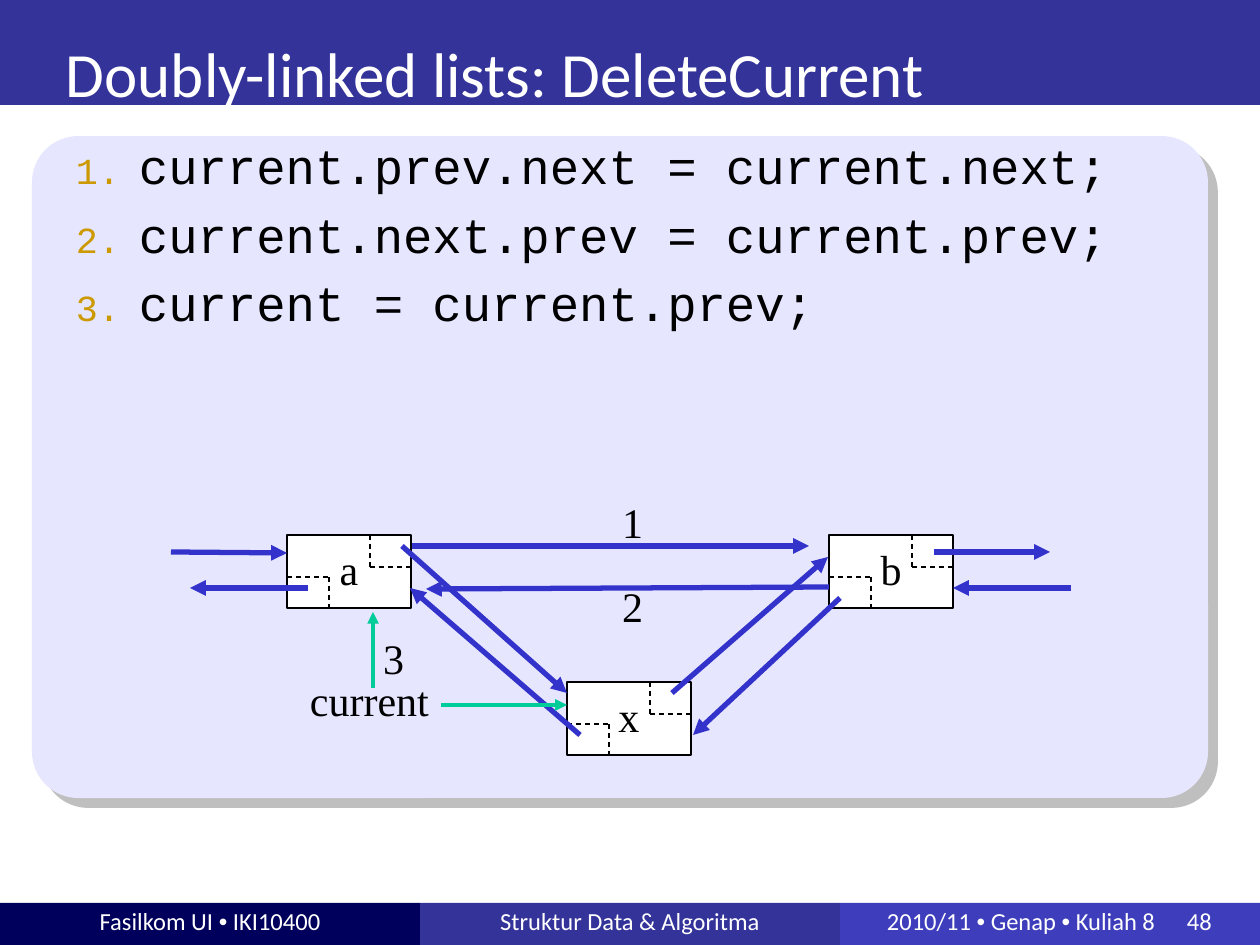
import dataclasses
import lxml.etree
import pptx
import pptx.dml.color
import pptx.enum.dml
import pptx.enum.shapes
import pptx.enum.text
import pptx.oxml.ns
import pptx.util

ALIGN = pptx.enum.text.PP_ALIGN
ANCHOR = pptx.enum.text.MSO_ANCHOR
SHAPE = pptx.enum.shapes.MSO_SHAPE
SCALE = 914400 / 126
WIDE, HIGH = 124, 73


@dataclasses.dataclass(frozen=True)
class Theme:
    navy: str = "00005C"
    blue: str = "333399"
    light: str = "3E3EBC"
    panel: str = "E6E6FF"
    shade: str = "808080"
    gold: str = "CC9900"
    link: str = "3333CC"
    green: str = "00CC99"
    black: str = "000000"
    white: str = "FFFFFF"
    sans: str = "Calibri"
    dot: str = "Arial"
    mono: str = "Courier New"
    serif: str = "Times New Roman"
    head: int = 36
    code: int = 28
    label: int = 24
    foot: int = 14


THEME = Theme()


def px(num):
    return round(num * SCALE)


def color(code):
    return pptx.dml.color.RGBColor.from_string(code)


def child(node, tag, **attrs):
    return lxml.etree.SubElement(node, pptx.oxml.ns.qn(tag), attrs)


def number(para):
    props = para._p.get_or_add_pPr()
    props.set("marL", str(px(63)))
    props.set("indent", str(-px(63)))
    child(child(props, "a:buClr"), "a:srgbClr", val=THEME.gold)
    child(props, "a:buSzPct", val="75000")
    child(props, "a:buAutoNum", type="arabicPeriod")


def write(shape, text, size=THEME.label, font=THEME.serif, ink=THEME.black,
          align=ALIGN.LEFT, anchor=ANCHOR.TOP, pads=(13, 6, 13, 6), wrap=True,
          lead=None, after=0, before=0, listed=False, tab=None):
    frame = shape.text_frame
    frame.auto_size = pptx.enum.text.MSO_AUTO_SIZE.NONE
    frame.word_wrap = wrap
    frame.vertical_anchor = anchor
    (frame.margin_left, frame.margin_top,
     frame.margin_right, frame.margin_bottom) = map(px, pads)
    for i, line in enumerate(text.split("\n")):
        para = frame.add_paragraph() if i else frame.paragraphs[0]
        para.alignment = align
        para.line_spacing = lead
        para.space_before = pptx.util.Pt(before if i else 0)
        para.space_after = pptx.util.Pt(after)
        if listed:
            number(para)
        if tab:
            stops = child(para._p.get_or_add_pPr(), "a:tabLst")
            child(stops, "a:tab", pos=str(px(tab)), algn="l")
        for part in line.replace("•", "\n•\n").split("\n"):
            run = para.add_run()
            run.text = part
            run.font.size = pptx.util.Pt(size)
            run.font.name = THEME.dot if part == "•" else font
            run.font.color.rgb = color(ink)


def block(slide, x, y, w, h, fill, kind=SHAPE.RECTANGLE, edge=None):
    shape = slide.shapes.add_shape(kind, px(x), px(y), px(w), px(h))
    shape.shadow.inherit = False
    shape.fill.solid()
    shape.fill.fore_color.rgb = color(fill)
    if edge:
        shape.line.color.rgb = color(edge)
        shape.line.width = pptx.util.Pt(0.75)
    else:
        shape.line.fill.background()
    return shape


def label(slide, x, y, w, h, text, **form):
    box = slide.shapes.add_textbox(px(x), px(y), px(w), px(h))
    write(box, text, **form)


def stroke(slide, x1, y1, x2, y2, ink=THEME.black, width=0.75, arrow=False):
    line = slide.shapes.add_connector(
        pptx.enum.shapes.MSO_CONNECTOR.STRAIGHT, px(x1), px(y1), px(x2), px(y2))
    line.line.color.rgb = color(ink)
    line.line.width = pptx.util.Pt(width)
    if arrow:
        child(line.line._get_or_add_ln(), "a:tailEnd", type="triangle")
    else:
        line.line.dash_style = pptx.enum.dml.MSO_LINE.DASH
    child(line._element.spPr, "a:effectLst")


def panel(slide):
    shape = block(slide, 32, 136, 1176, 662, THEME.panel, SHAPE.ROUNDED_RECTANGLE)
    shape.adjustments[0] = 0.07
    effects = shape._element.spPr.find(pptx.oxml.ns.qn("a:effectLst"))
    cast = child(effects, "a:outerShdw", dist=str(pptx.util.Pt(8)),
                 dir="2700000", algn="ctr", rotWithShape="0")
    child(child(cast, "a:srgbClr", val=THEME.shade), "a:alpha", val="50000")


def node(slide, x, y, name):
    box = block(slide, x, y, WIDE, HIGH, THEME.white, edge=THEME.black)
    write(box, name, align=ALIGN.CENTER, anchor=ANCHOR.MIDDLE, lead=0.95)
    stroke(slide, x + 83, y, x + 83, y + 32)
    stroke(slide, x + 83, y + 32, x + WIDE, y + 32)
    stroke(slide, x + 42, y + 42, x + 42, y + HIGH)
    stroke(slide, x, y + 42, x + 42, y + 42)


def footer(slide):
    form = dict(size=THEME.foot, font=THEME.sans, ink=THEME.white, anchor=ANCHOR.MIDDLE)
    mid = dict(align=ALIGN.CENTER, pads=(13, 0, 13, 6))
    last = dict(pads=(47, 0, 13, 6), tab=300)
    cells = [("Fasilkom UI • IKI10400", THEME.navy, mid),
             ("Struktur Data & Algoritma", THEME.blue, mid),
             ("2010/11 • Genap • Kuliah 8\t48", THEME.light, last)]
    for i, (text, fill, extra) in enumerate(cells):
        write(block(slide, 420 * i, 903, 420, 42, fill), text, **form, **extra)


def header(slide, text):
    block(slide, 0, 0, 1260, 105, THEME.blue)
    title = slide.shapes.title
    title.left, title.top, title.width, title.height = map(px, (53, -15, 1125, 131))
    write(title, text, size=THEME.head, font=THEME.sans, ink=THEME.white,
          anchor=ANCHOR.BOTTOM, lead=1.56)
    slide.shapes._spTree.append(title._element)


def graph(slide):
    for name, x, y in [("x", 567, 682), ("a", 287, 535), ("b", 829, 535)]:
        node(slide, x, y, name)
    for ends in [(412, 546, 809, 546), (829, 587, 426, 589),
                 (171, 552, 287, 553), (308, 588, 190, 588),
                 (934, 552, 1050, 552), (1071, 588, 953, 588),
                 (402, 546, 567, 693), (840, 598, 693, 735),
                 (580, 735, 410, 588), (672, 693, 828, 557)]:
        stroke(slide, *ends, ink=THEME.link, width=3, arrow=True)
    for ends in [(373, 688, 373, 612), (441, 705, 567, 705)]:
        stroke(slide, *ends, ink=THEME.green, width=2.25, arrow=True)
    for text, x, y, w in [("1", 609, 494, 45), ("2", 609, 578, 45),
                          ("3", 370, 630, 45), ("current", 297, 672, 144)]:
        label(slide, x, y, w, 60, text, wrap=False, lead=0.95)


def main():
    deck = pptx.Presentation()
    deck.slide_width, deck.slide_height = px(1260), px(945)
    slide = deck.slides.add_slide(deck.slide_layouts[5])
    footer(slide)
    panel(slide)
    header(slide, "Doubly-linked lists: DeleteCurrent")
    label(slide, 63, 136, 1149, 735,
          "current.prev.next = current.next;\n"
          "current.next.prev = current.prev;\n"
          "current = current.prev;",
          size=THEME.code, font=THEME.mono, lead=0.9, before=3, after=6, listed=True)
    graph(slide)
    deck.save("out.pptx")


if __name__ == "__main__":
    main()
